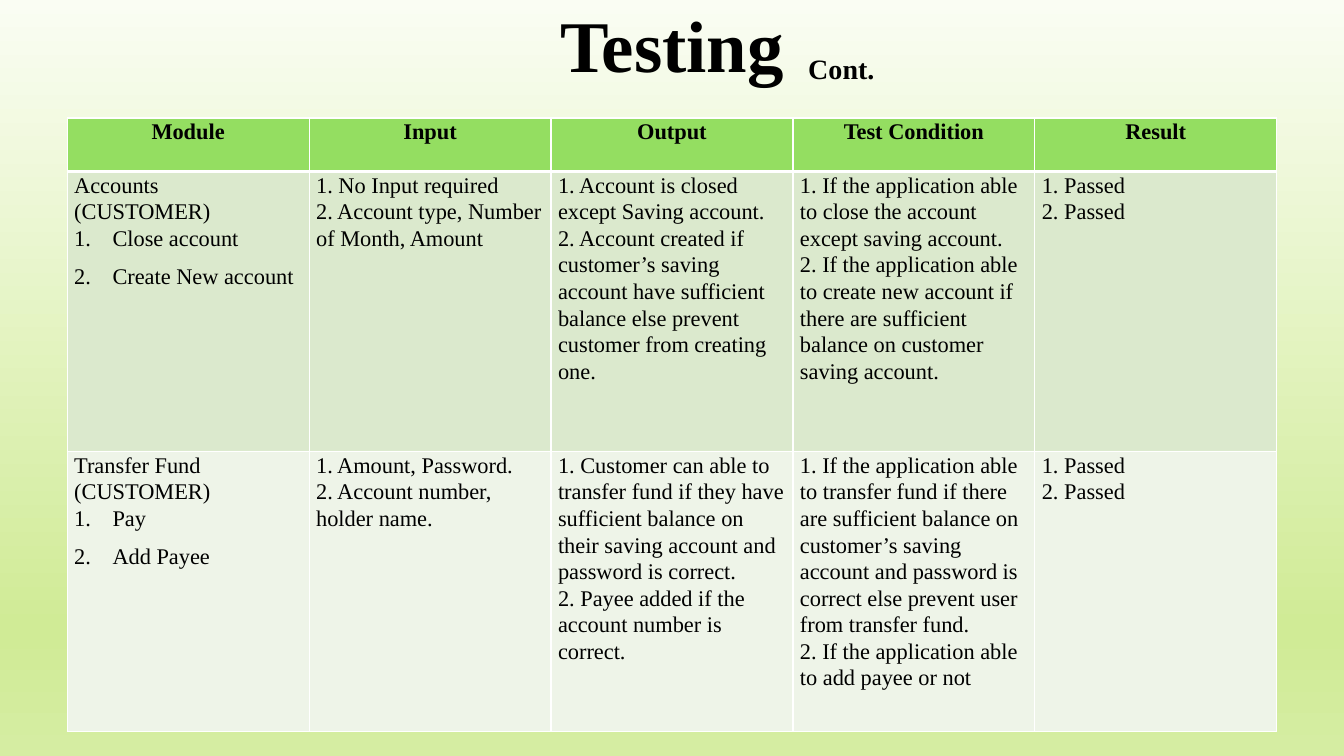
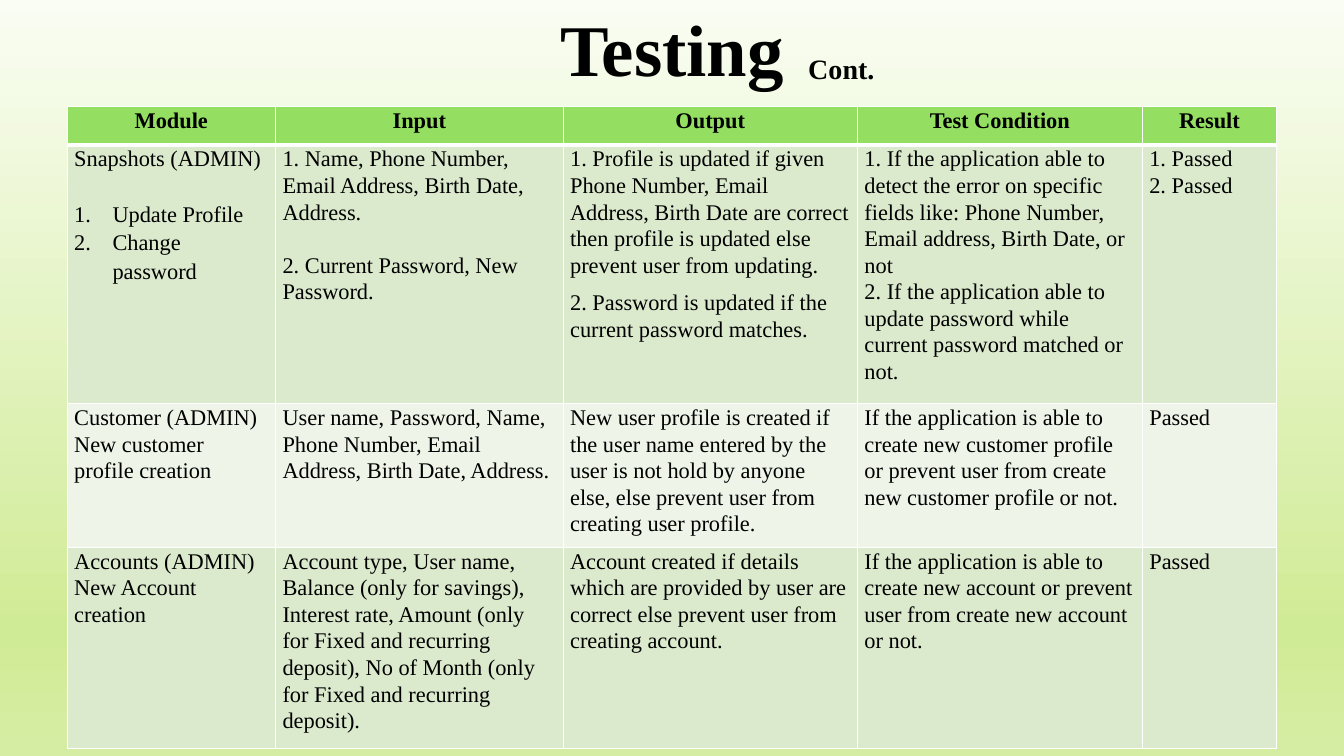
from dataclasses import dataclass

from pptx import Presentation
from pptx.dml.color import RGBColor as RGB
from pptx.enum.text import PP_ALIGN as Align
from pptx.oxml import parse_xml
from pptx.oxml.ns import nsdecls
from pptx.util import Emu, Inches, Pt

COLORS = {
    "text": "000000",
    "border": "FFFFFF",
    "header": "94DE61",
    "odd": "DBE9CD",
    "even": "EEF4E8",
}
BACKGROUND = [(0, "FAFDF3"), (83, "D0EB96"), (100, "D5EDA2")]
FONT = "Times New Roman"
GRID_COLS, GRID_ROWS = 20, 100
HEADER = ["Module", "Input", "Output", "Test Condition", "Result"]


@dataclass
class Para:
    text: str
    numbered: bool = False
    line: float = 1.07
    after: float = 0


class Deck:
    def __init__(self):
        self.prs = Presentation()
        self.prs.slide_width = Inches(13.33)
        self.prs.slide_height = Inches(7.5)
        self.s = None
        self.paint_background()

    def x(self, cols):
        return Emu(round(self.prs.slide_width * cols / GRID_COLS))

    def y(self, rows):
        return Emu(round(self.prs.slide_height * rows / GRID_ROWS))

    def paint_background(self):
        fill = self.prs.slide_master.background.fill
        fill.gradient()
        fill.gradient_angle = 270
        stops = fill.gradient_stops
        stop_list = stops[0].color._xFill.getparent()
        for old in list(stop_list):
            stop_list.remove(old)
        for share, color in BACKGROUND:
            stop_list.append(parse_xml(
                f'<a:gs {nsdecls("a")} pos="{share * 1000}">'
                f'<a:srgbClr val="{color}"/></a:gs>'))

    def new_slide(self):
        self.s = self.prs.slides.add_slide(self.prs.slide_layouts[6])

    def style(self, p, size, bold, align):
        p.alignment = align
        for r in p.runs:
            r.font.name = FONT
            r.font.size = Pt(size)
            r.font.bold = bold
            r.font.color.rgb = RGB.from_string(COLORS["text"])

    def label(self, text, left, top, width, height, size, align=Align.LEFT):
        sp = self.s.shapes.add_textbox(
            self.x(left), self.y(top), self.x(width), self.y(height))
        tf = sp.text_frame
        tf.word_wrap = True
        tf.text = text
        self.style(tf.paragraphs[0], size, True, align)

    def title(self, top):
        self.label("Testing", 7.94, top, 4.12, 13.07, 52, Align.CENTER)
        self.label("Cont.", 11.88, 6.13, 1.4, 5.87, 20)

    def number(self, p):
        pPr = p._p.get_or_add_pPr()
        pPr.set("marL", str(Inches(0.38)))
        pPr.set("indent", str(-Inches(0.38)))
        pPr.append(parse_xml(
            f'<a:buAutoNum {nsdecls("a")} type="arabicPeriod"/>'))

    def borders(self, cell, top, bottom):
        widths = {"L": 1, "R": 1, "T": top, "B": bottom}
        tcPr = cell._tc.get_or_add_tcPr()
        for i, (side, width) in enumerate(widths.items()):
            tcPr.insert(i, parse_xml(
                f'<a:ln{side} {nsdecls("a")} w="{Pt(width)}"><a:solidFill>'
                f'<a:srgbClr val="{COLORS["border"]}"/></a:solidFill>'
                f'</a:ln{side}>'))

    def cell(self, cell, content, row):
        header = row == 0
        paras = [c if isinstance(c, Para) else Para(c) for c in content]
        cell.margin_left = cell.margin_right = Inches(0.07)
        cell.margin_top = cell.margin_bottom = 0
        cell.fill.solid()
        shade = "header" if header else "odd" if row % 2 else "even"
        cell.fill.fore_color.rgb = RGB.from_string(COLORS[shade])
        self.borders(cell, 3 if row == 1 else 1, 3 if header else 1)
        tf = cell.text_frame
        tf.text = "\n".join(para.text for para in paras)
        for p, para in zip(tf.paragraphs, paras):
            self.style(p, 16, header, Align.CENTER if header else Align.LEFT)
            p.line_spacing = para.line
            p.space_after = Pt(para.after)
            if para.numbered:
                self.number(p)

    def table(self, top, widths, heights, body):
        rows = [[[name] for name in HEADER]] + body
        table = self.s.shapes.add_table(
            len(rows), len(widths), self.x(1), self.y(top),
            self.x(sum(widths)), self.y(sum(heights))).table
        for column, width in zip(table.columns, widths):
            column.width = self.x(width)
        for i, (height, contents) in enumerate(zip(heights, rows)):
            table.rows[i].height = self.y(height)
            for j, content in enumerate(contents):
                self.cell(table.cell(i, j), content, i)


PASSED_BOTH = ["1. Passed", "2. Passed"]

CUSTOMER_TESTS = [
    [
        ["Accounts", "(CUSTOMER)",
         Para("Close account", True, after=8),
         Para("Create New account", True, after=8)],
        ["1. No Input required",
         "2. Account type, Number of Month, Amount"],
        ["1. Account is closed except Saving account.",
         "2. Account created if customer’s saving account have sufficient "
         "balance else prevent customer from creating one."],
        ["1. If the application able to close the account except saving "
         "account.",
         "2. If the application able to create new account if there are "
         "sufficient balance on customer saving account."],
        PASSED_BOTH,
    ],
    [
        ["Transfer Fund", "(CUSTOMER)",
         Para("Pay", True, after=8),
         Para("Add Payee", True, after=8)],
        ["1. Amount, Password.", "2. Account number, holder name."],
        ["1. Customer can able to transfer fund if they have sufficient "
         "balance on their saving account and password is correct.",
         "2. Payee added if the account number is correct."],
        ["1. If the application able to transfer fund if there are "
         "sufficient balance on customer’s saving account and password is "
         "correct else prevent user from transfer fund.",
         "2. If the application able to add payee or not"],
        PASSED_BOTH,
    ],
]

ADMIN_TESTS = [
    [
        [Para("Snapshots (ADMIN)", after=19),
         Para("Update Profile", True, 1.15),
         Para("Change password", True, 1.15, 10)],
        [Para("1. Name, Phone Number, Email Address, Birth Date, Address.",
              after=19),
         "2. Current Password, New Password."],
        [Para("1. Profile is updated if given Phone Number, Email Address, "
              "Birth Date are correct then profile is updated else prevent "
              "user from updating.", after=8),
         Para("2. Password is updated if the current password matches.",
              after=8)],
        ["1. If the application able to detect the error on specific fields "
         "like: Phone Number, Email address, Birth Date, or not",
         "2. If the application able to update password while current "
         "password matched or not."],
        PASSED_BOTH,
    ],
    [
        ["Customer (ADMIN)", "New customer profile creation"],
        ["User name, Password, Name, Phone Number, Email Address, Birth "
         "Date, Address."],
        ["New user profile is created if the user name entered by the user "
         "is not hold by anyone else, else prevent user from creating user "
         "profile."],
        ["If the application is able to create new customer profile or "
         "prevent user from create new customer profile or not."],
        ["Passed"],
    ],
    [
        ["Accounts (ADMIN)", "New Account creation"],
        ["Account type, User name, Balance (only for savings), Interest "
         "rate, Amount (only for Fixed and recurring deposit), No of Month "
         "(only for Fixed and recurring deposit)."],
        ["Account created if details which are provided by user are correct "
         "else prevent user from creating account."],
        ["If the application is able to create new account or prevent user "
         "from create new account or not."],
        ["Passed"],
    ],
]


def main():
    deck = Deck()

    deck.new_slide()
    deck.table(15.6, [3.6] * 5, [7.07, 37.07, 37.07], CUSTOMER_TESTS)
    deck.title(-0.67)

    deck.new_slide()
    deck.table(14.13, [3.1, 4.28, 4.38, 4.24, 2],
               [5.07, 33.6, 18.93, 26.13], ADMIN_TESTS)
    deck.title(-0.13)

    deck.prs.save("out.pptx")


if __name__ == "__main__":
    main()
